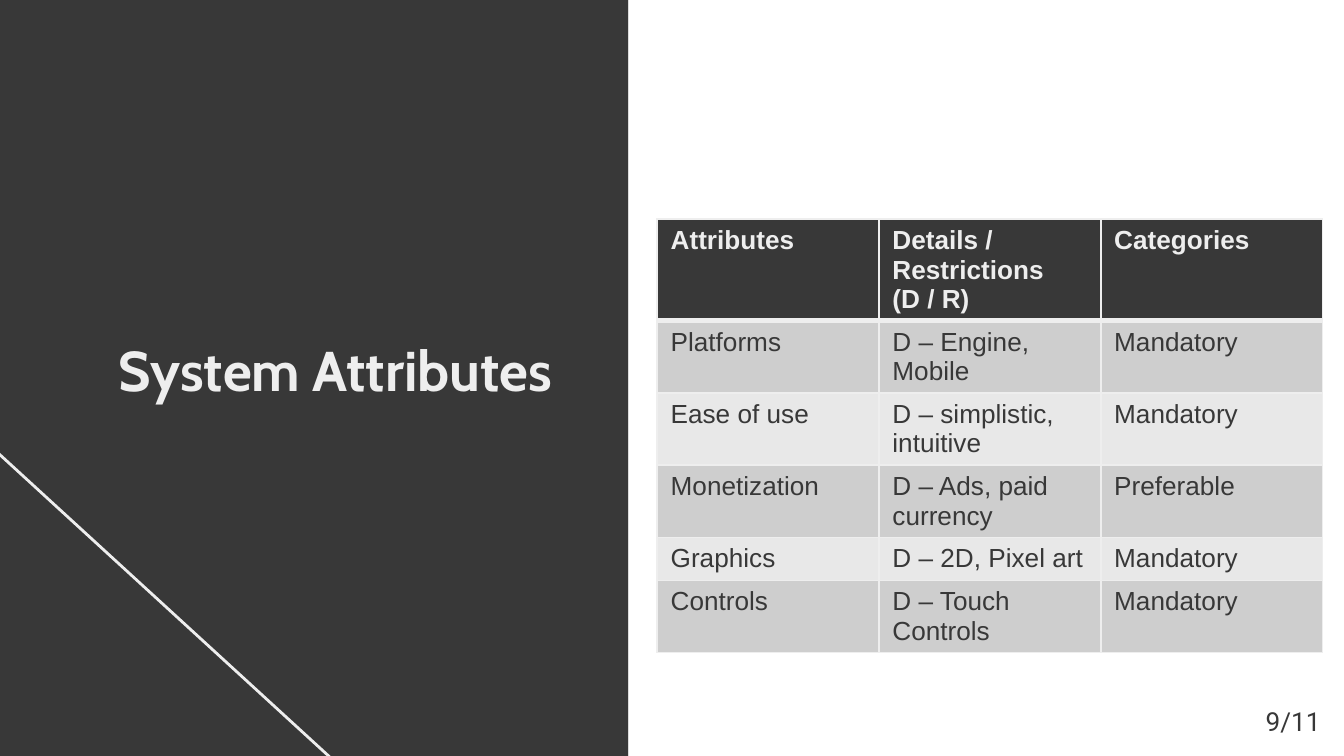
from dataclasses import dataclass

from lxml import etree
from pptx import Presentation
from pptx.dml.color import RGBColor as RGB
from pptx.enum.shapes import MSO_CONNECTOR as CONN, MSO_SHAPE as SHAPE
from pptx.enum.text import MSO_ANCHOR as ANCHOR, MSO_AUTO_SIZE as AUTO, PP_ALIGN as ALIGN
from pptx.oxml.ns import qn
from pptx.util import Pt


@dataclass(frozen=True)
class Theme:
    dark: str = "383838"
    light: str = "EEEEEE"
    outline: str = "DBDBDB"
    bands: tuple = ("CECECE", "E8E8E8")
    title_size: float = 30
    text_size: float = 14


THEME = Theme()
ROWS = [
    ("Attributes", "Details / Restrictions (D / R)", "Categories"),
    ("Platforms", "D – Engine, Mobile", "Mandatory"),
    ("Ease of use", "D – simplistic, intuitive", "Mandatory"),
    ("Monetization", "D – Ads, paid currency", "Preferable"),
    ("Graphics", "D – 2D, Pixel art", "Mandatory"),
    ("Controls", "D – Touch Controls", "Mandatory"),
]
FRAME = {
    "word_wrap": True,
    "auto_size": AUTO.NONE,
    "vertical_anchor": ANCHOR.TOP,
    "margin_left": Pt(7.2),
    "margin_top": Pt(7.2),
    "margin_right": Pt(7.2),
    "margin_bottom": Pt(7.2),
}


def apply(obj, values):
    for name, value in values.items():
        setattr(obj, name, value)


def write(tf, text, font, size, color, bold=False):
    p = tf.paragraphs[0]
    p.alignment = ALIGN.LEFT
    r = p.add_run()
    r.text = text
    apply(r.font, {"name": font, "size": Pt(size), "bold": bold})
    r.font.color.rgb = RGB.from_string(color)
    return p


def add_panel(slide, left, top, width, height):
    sp = slide.shapes.add_shape(SHAPE.RECTANGLE, Pt(left), Pt(top), Pt(width), Pt(height))
    sp.shadow.inherit = False
    sp.fill.solid()
    sp.fill.fore_color.rgb = RGB.from_string(THEME.dark)
    sp.line.color.rgb = RGB.from_string(THEME.outline)
    sp.line.width = Pt(0.75)


def add_line(slide, x1, y1, x2, y2):
    line = slide.shapes.add_connector(CONN.STRAIGHT, Pt(x1), Pt(y1), Pt(x2), Pt(y2))
    line.line.color.rgb = RGB.from_string(THEME.light)
    line.line.width = Pt(1.5)
    etree.SubElement(line._element.spPr, qn("a:effectLst"))


def set_title(slide, text, left, top, width, height):
    sp = slide.shapes.title
    apply(sp, {"left": Pt(left), "top": Pt(top), "width": Pt(width), "height": Pt(height)})
    apply(sp.text_frame, FRAME)
    write(sp.text_frame, text, "Cabin", THEME.title_size, THEME.light, True)
    slide.shapes._spTree.append(sp._element)


def set_borders(cell, widths):
    tcPr = cell._tc.get_or_add_tcPr()
    for i, (side, width) in enumerate(widths.items()):
        ln = etree.Element(qn(f"a:ln{side}"), w=str(Pt(width)))
        fill = etree.SubElement(ln, qn("a:solidFill"))
        etree.SubElement(fill, qn("a:srgbClr"), val=THEME.light)
        tcPr.insert(i, ln)


def add_attributes(slide, left, top, col_width, row_height):
    n_rows, n_cols = len(ROWS), len(ROWS[0])
    table = slide.shapes.add_table(
        n_rows, n_cols, Pt(left), Pt(top), Pt(col_width * n_cols), Pt(row_height * n_rows)
    ).table
    table.horz_banding = False
    for col in table.columns:
        col.width = Pt(col_width)
    for i, row in enumerate(ROWS):
        header = i == 0
        fill = THEME.dark if header else THEME.bands[(i - 1) % 2]
        color = THEME.light if header else THEME.dark
        widths = {"L": 1, "R": 1, "T": 3 if i == 1 else 1, "B": 3 if header else 1}
        for j, text in enumerate(row):
            cell = table.cell(i, j)
            cell.fill.solid()
            cell.fill.fore_color.rgb = RGB.from_string(fill)
            set_borders(cell, widths)
            write(cell.text_frame, text, "Arial", THEME.text_size, color, header)


def add_page_number(slide, text, left, top, width, height):
    tf = slide.shapes.add_textbox(Pt(left), Pt(top), Pt(width), Pt(height)).text_frame
    apply(tf, FRAME)
    p = write(tf, text, "Roboto", THEME.text_size, THEME.dark)
    p._p.get_or_add_pPr().set("marL", str(Pt(7.2)))


def main():
    prs = Presentation()
    prs.slide_width, prs.slide_height = Pt(720), Pt(405)
    slide = prs.slides.add_slide(prs.slide_layouts[5])
    add_panel(slide, -13.7, -5, 350.6, 415.4)
    add_line(slide, 253.4, 475.9, -126, 128.2)
    set_title(slide, "System Attributes", 56.2, 172.8, 269.3, 41.8)
    add_attributes(slide, 352.1, 117.4, 118.8, 23)
    add_page_number(slide, "9/11", 663.8, 370.8, 56.2, 33.8)
    prs.save("out.pptx")


if __name__ == "__main__":
    main()
